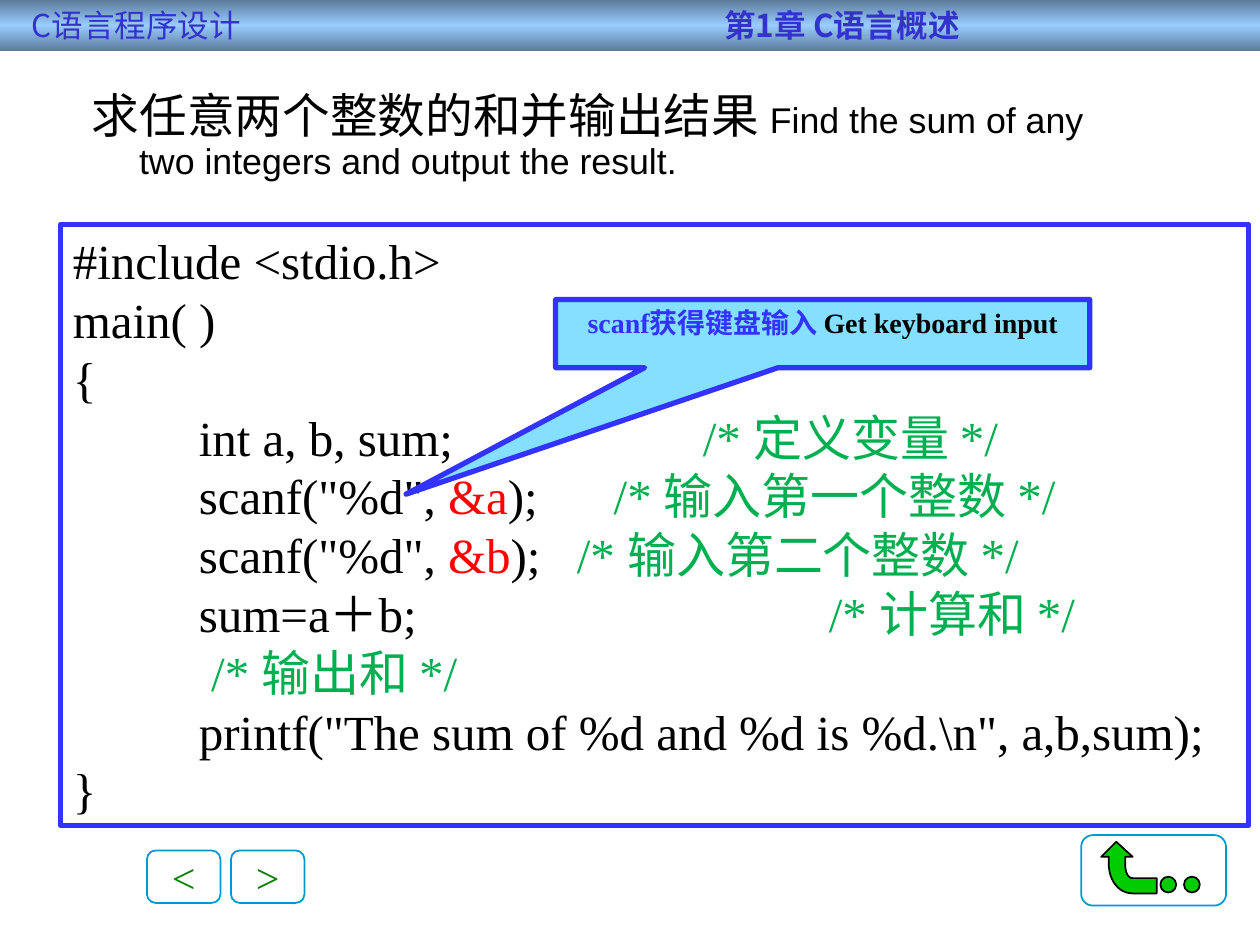
from lxml import etree
from pptx import Presentation
from pptx import util as u
from pptx.dml.color import RGBColor
from pptx.enum import shapes, text
from pptx.oxml.ns import qn

BLACK = RGBColor(0x00, 0x00, 0x00)
WHITE = RGBColor(0xFF, 0xFF, 0xFF)
BLUE = RGBColor(0x33, 0x33, 0xFF)
TITLE_BLUE = RGBColor(0x33, 0x33, 0xCC)
STEEL = RGBColor(0x5D, 0x7C, 0x9B)
SKY = RGBColor(0x99, 0xCC, 0xFF)
CYAN = RGBColor(0x85, 0xE0, 0xFF)
TEAL = RGBColor(0x00, 0x99, 0xCC)
RED = RGBColor(0xFF, 0x00, 0x00)
COMMENT = RGBColor(0x00, 0xB0, 0x50)
DARK_GREEN = RGBColor(0x00, 0x80, 0x00)
GREEN = RGBColor(0x00, 0xCC, 0x00)
SERIF, SANS, CJK = "Times New Roman", "Arial", "Noto Sans CJK SC"
KIND = shapes.MSO_SHAPE

prs = Presentation()
prs.slide_width, prs.slide_height = u.Pt(720), u.Pt(540)
slide = prs.slides.add_slide(prs.slide_layouts[6])


def add_box(kind, left, top, width, height, fill=None, line=None, weight=1):
    box = slide.shapes.add_shape(kind, u.Pt(left), u.Pt(top), u.Pt(width), u.Pt(height))
    box.shadow.inherit = False
    if fill is None:
        box.fill.background()
    else:
        box.fill.solid()
        box.fill.fore_color.rgb = fill
    if line is None:
        box.line.fill.background()
    else:
        box.line.color.rgb = line
        box.line.width = u.Pt(weight)
    return box


def write(paragraph, parts, size, font, align=text.PP_ALIGN.LEFT, tabs=()):
    paragraph.alignment = align
    if tabs:
        stops = etree.SubElement(paragraph._p.get_or_add_pPr(), qn("a:tabLst"))
        for stop in tabs:
            etree.SubElement(stops, qn("a:tab"), pos=str(u.Pt(stop)), algn="l")
    paragraph.font.size = u.Pt(size)
    paragraph.font.name = font
    for words, color in parts:
        run = paragraph.add_run()
        run.text = words
        run.font.color.rgb = color
        etree.SubElement(run._r.get_or_add_rPr(), qn("a:ea"), typeface=CJK)


task = slide.shapes.add_textbox(u.Pt(45.4), u.Pt(49), u.Pt(612), u.Pt(64.8)).text_frame
task.word_wrap = True
sentence = task.paragraphs[0]
sentence.line_spacing = 0.9
sentence._p.get_or_add_pPr().set("marL", str(u.Pt(27)))
sentence._p.get_or_add_pPr().set("indent", str(u.Pt(-27)))
write(sentence, [("求任意两个整数的和并输出结果 ", BLACK),
                 ("Find the sum of any two integers and output the result.", BLACK)], 20.4, SANS)
sentence.runs[0].font.size = u.Pt(27.2)
sentence.runs[0].font.name = CJK

program = [
    ([("#include <stdio.h>", BLACK)], 144),
    ([("main( )", BLACK)], 144),
    ([("{", BLACK)], 144),
    ([("\tint a, b, sum;\t", BLACK), ("/* 定义变量 */", COMMENT)], 360),
    ([('\tscanf("%d", ', BLACK), ("&a", RED), (");\t", BLACK), ("/* 输入第一个整数 */", COMMENT)], 309),
    ([('\tscanf("%d", ', BLACK), ("&b", RED), (");\t", BLACK), ("/* 输入第二个整数 */", COMMENT)], 288),
    ([("\tsum=a＋b;\t", BLACK), ("/* 计算和 */", COMMENT)], 432),
    ([("\t ", BLACK), ("/* 输出和 */", COMMENT)], 144),
    ([('\tprintf("The sum of %d and %d is %d.\\n", a,b,sum);', BLACK)], 144),
    ([("}", BLACK)], 144),
]
code = add_box(KIND.RECTANGLE, 34.6, 128.2, 679, 343.4, WHITE, BLUE, 3).text_frame
code.word_wrap = True
code.vertical_anchor = text.MSO_ANCHOR.MIDDLE
for number, (parts, comment_stop) in enumerate(program):
    code_line = code.add_paragraph() if number else code.paragraphs[0]
    code_line.line_spacing = u.Pt(33.6)
    write(code_line, parts, 28, SERIF, tabs=(72, comment_stop))

header = add_box(KIND.RECTANGLE, 0, 0, 720, 29, STEEL)
header.fill.gradient()
header.fill.gradient_angle = 90
stops = header.fill._fill._gradFill.find(qn("a:gsLst"))
for stop in list(stops):
    stops.remove(stop)
for position, color in ((0, STEEL), (50000, SKY), (100000, STEEL)):
    stop = etree.SubElement(stops, qn("a:gs"), pos=str(position))
    etree.SubElement(stop, qn("a:srgbClr"), val=str(color))
header.text_frame.margin_left = u.Pt(18)
header.text_frame.vertical_anchor = text.MSO_ANCHOR.MIDDLE
course = header.text_frame.paragraphs[0]
write(course, [("C语言程序设计\t", TITLE_BLUE), ("第1章 C语言概述", TITLE_BLUE)], 18, CJK, tabs=(396,))
course.runs[1].font.bold = True

for left, sign in ((84, "<"), (132, ">")):
    button = add_box(KIND.ROUNDED_RECTANGLE, left, 486, 42, 30, line=TEAL).text_frame
    button.word_wrap = False
    button.vertical_anchor = text.MSO_ANCHOR.MIDDLE
    write(button.paragraphs[0], [(sign, DARK_GREEN)], 24, SERIF, text.PP_ALIGN.CENTER)

outer_bend = [(633.6, 493.2), (633.6, 503.3), (639.4, 510.5), (647.3, 510.5)]
inner_bend = [(647.3, 501.8), (644.4, 501.8), (643, 498.2), (643, 493.2)]
bends = []
for a, b, c, d in (outer_bend, inner_bend):
    bends.append([
        tuple((1 - t) ** 3 * a[i] + 3 * (1 - t) ** 2 * t * b[i] + 3 * (1 - t) * t ** 2 * c[i] + t ** 3 * d[i]
              for i in (0, 1))
        for t in (step / 12 for step in range(13))])
outline = [(629.3, 489.6), (633.6, 489.6), *bends[0], (661, 510.5), (661, 501.8),
           *bends[1], (643, 489.6), (647.3, 489.6)]
pen = slide.shapes.build_freeform(u.Pt(637.9), u.Pt(481))
pen.add_line_segments([(u.Pt(x), u.Pt(y)) for x, y in outline], close=True)
back_arrow = pen.convert_to_shape()
back_arrow.shadow.inherit = False
back_arrow.fill.solid()
back_arrow.fill.fore_color.rgb = GREEN
back_arrow.line.color.rgb = BLACK
back_arrow.line.width = u.Pt(1)
for left in (663.1, 676.6):
    add_box(KIND.OVAL, left, 501, 9, 9, GREEN, BLACK)
add_box(KIND.ROUNDED_RECTANGLE, 617.8, 477.2, 82.8, 40.3, line=TEAL)

callout = add_box(KIND.RECTANGULAR_CALLOUT, 317.5, 171.2, 305.3, 38.9, CYAN, BLUE, 3)
callout.adjustments[0], callout.adjustments[1] = -0.78, 2.36
callout.text_frame.word_wrap = True
callout.text_frame.vertical_anchor = text.MSO_ANCHOR.TOP
hint = callout.text_frame.paragraphs[0]
write(hint, [("scanf获得键盘输入 ", BLUE), ("Get keyboard input", BLACK)], 16, SERIF, text.PP_ALIGN.CENTER)
hint.font.bold = True

prs.save("out.pptx")
